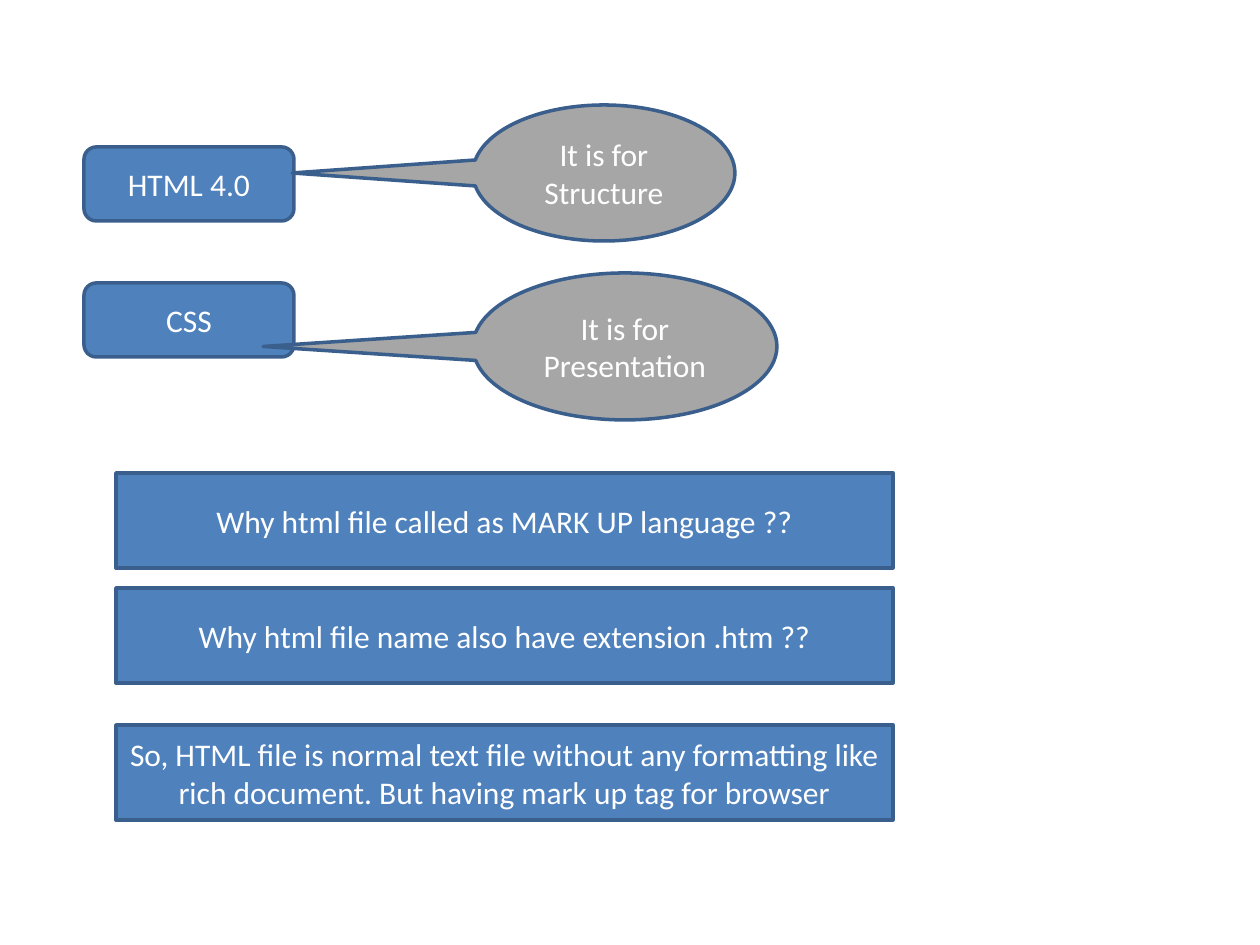
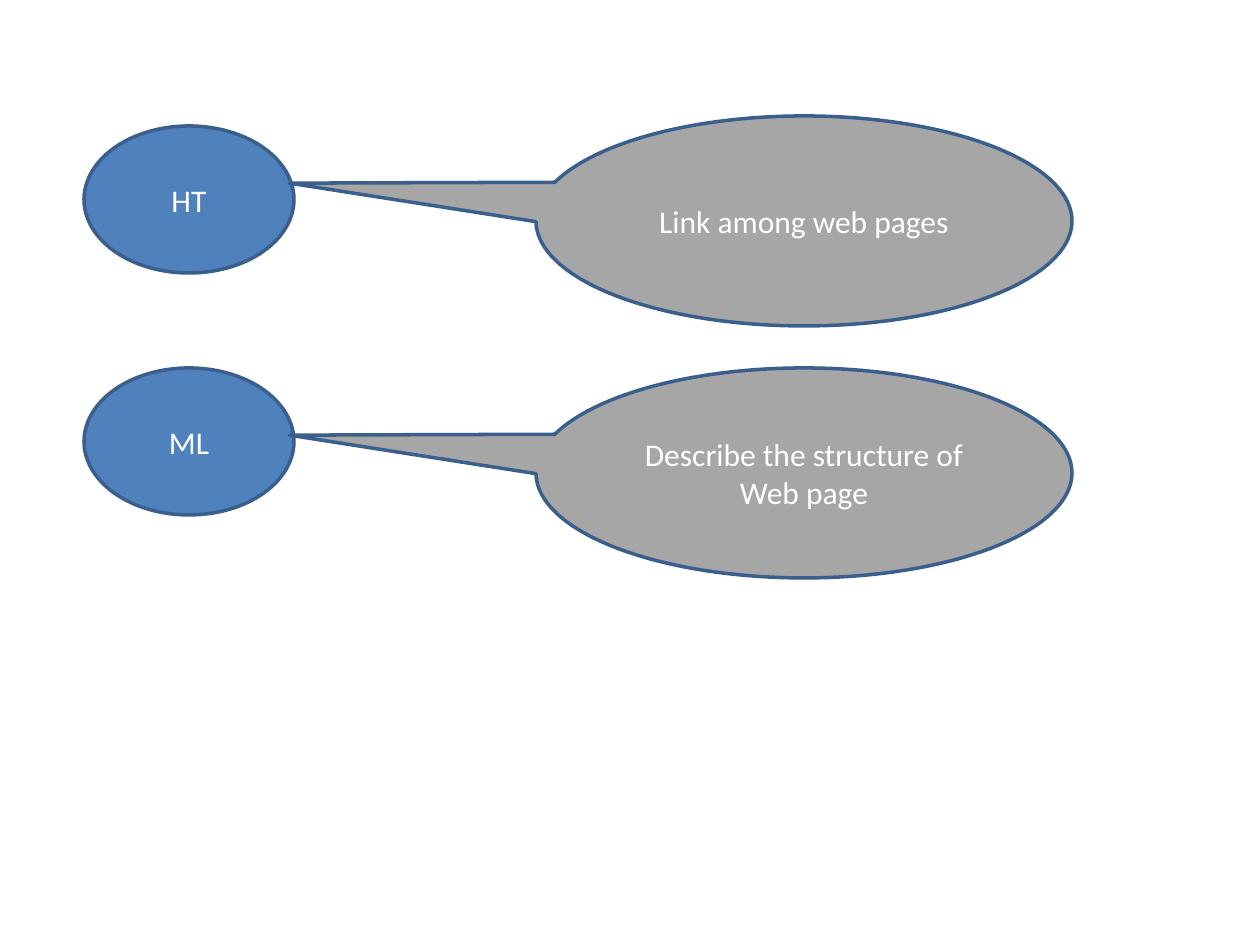
from dataclasses import dataclass

from pptx import Presentation
from pptx.dml.color import RGBColor
from pptx.enum.shapes import MSO_SHAPE
from pptx.enum.text import MSO_ANCHOR, PP_ALIGN
from pptx.slide import Slide
from pptx.util import Emu, Pt

# Enum members
RECT = MSO_SHAPE.RECTANGLE
ROUND = MSO_SHAPE.ROUNDED_RECTANGLE
OVAL = MSO_SHAPE.OVAL
CALLOUT = MSO_SHAPE.OVAL_CALLOUT
MIDDLE = MSO_ANCHOR.MIDDLE
CENTER = PP_ALIGN.CENTER

# Shared style
BLUE = RGBColor(0x4F, 0x81, 0xBD)
NAVY = RGBColor(0x3A, 0x5F, 0x8C)
GRAY = RGBColor(0xA6, 0xA6, 0xA6)
WHITE = RGBColor(0xFF, 0xFF, 0xFF)
FONT = "Calibri"
SIZE = Pt(18)
BORDER = Pt(2)
BLANK = 6

# Callout tips, as shares of the callout's size from its centre
LEVEL = (-1.19, 0.0)
RAISED = (-0.96, -0.18)


@dataclass(frozen=True)
class Box:
    text: str
    left: int
    top: int
    width: int
    height: int
    kind: MSO_SHAPE
    fill: RGBColor = BLUE
    tip: tuple[float, ...] = ()


def px(count: int) -> Emu:
    """Turn pixels, 126 to the inch, into EMU."""
    return Emu(round(count * 914400 / 126))


def draw_box(slide: Slide, box: Box) -> None:
    shape = slide.shapes.add_shape(
        box.kind, px(box.left), px(box.top), px(box.width), px(box.height)
    )
    shape.shadow.inherit = False
    shape.fill.solid()
    shape.fill.fore_color.rgb = box.fill
    shape.line.color.rgb = NAVY
    shape.line.width = BORDER
    for index, value in enumerate(box.tip):
        shape.adjustments[index] = value

    # Text
    frame = shape.text_frame
    frame.text = box.text
    frame.word_wrap = True
    frame.vertical_anchor = MIDDLE
    para = frame.paragraphs[0]
    para.alignment = CENTER
    font = para.runs[0].font
    font.name = FONT
    font.size = SIZE
    font.color.rgb = WHITE


def label(text: str, top: int, height: int, kind: MSO_SHAPE) -> Box:
    return Box(text, 84, top, 210, height, kind)


def banner(text: str, top: int) -> Box:
    return Box(text, 116, top, 777, 95, RECT)


def bubble(text: str, left: int, top: int, width: int, height: int,
           tip: tuple[float, float]) -> Box:
    return Box(text, left, top, width, height, CALLOUT, GRAY, tip)


# Slide 1: what HTML and CSS are for, then questions about HTML files
PURPOSE = [
    label("HTML 4.0", 147, 74, ROUND),
    label("CSS", 283, 74, ROUND),
    bubble("It is for Structure", 473, 105, 262, 136, LEVEL),
    bubble("It is for Presentation", 473, 273, 304, 147, LEVEL),
    banner("Why html file called as MARK UP language ??", 473),
    banner("Why html file name also have extension .htm ??", 588),
    banner("So, HTML file is normal text file without any formatting like "
           "rich document. But having mark up tag for browser", 725),
]

# Slide 2: the two halves of the name HTML
MEANING = [
    label("HT", 126, 147, OVAL),
    label("ML", 368, 147, OVAL),
    bubble("Describe the structure of Web page", 536, 368, 536, 210, RAISED),
    bubble("Link among web pages", 536, 116, 536, 210, RAISED),
]

# Build the deck
deck = Presentation()
deck.slide_width = px(1260)
deck.slide_height = px(945)
for boxes in (PURPOSE, MEANING):
    page = deck.slides.add_slide(deck.slide_layouts[BLANK])
    for item in boxes:
        draw_box(page, item)
deck.save("out.pptx")
